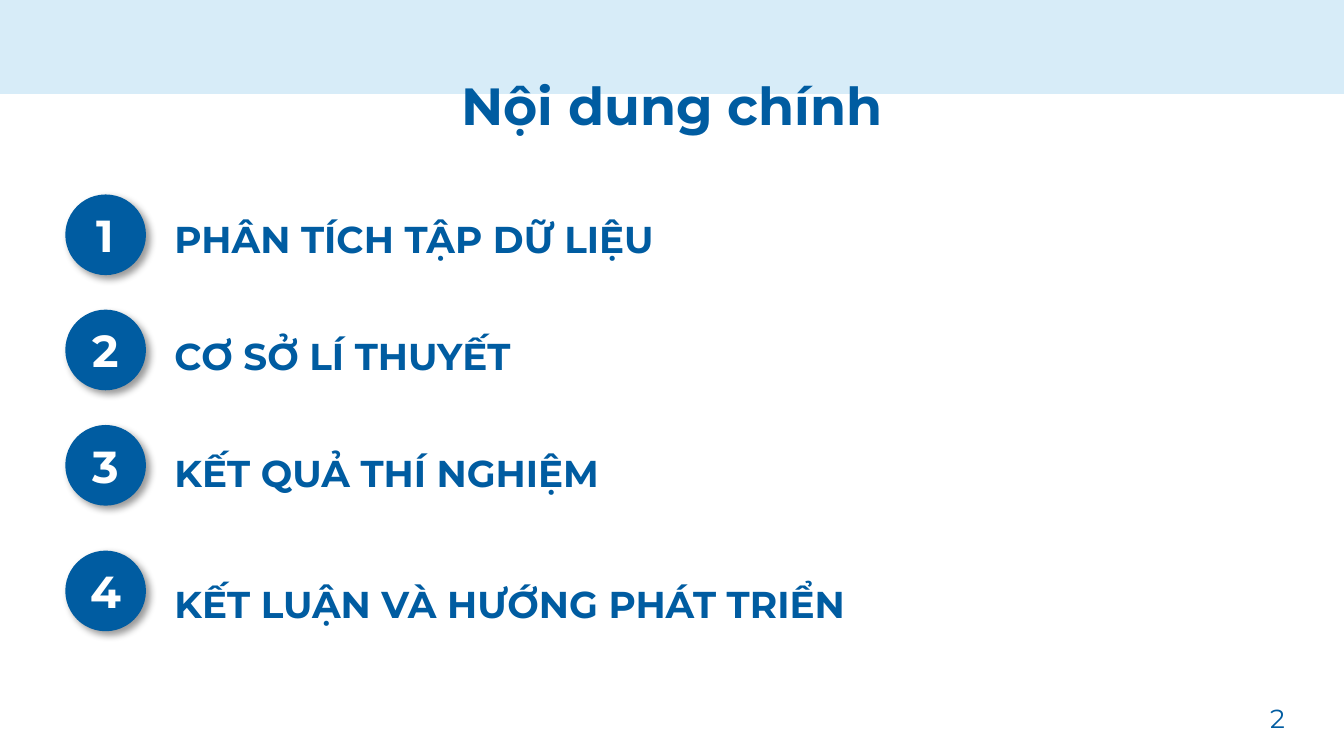
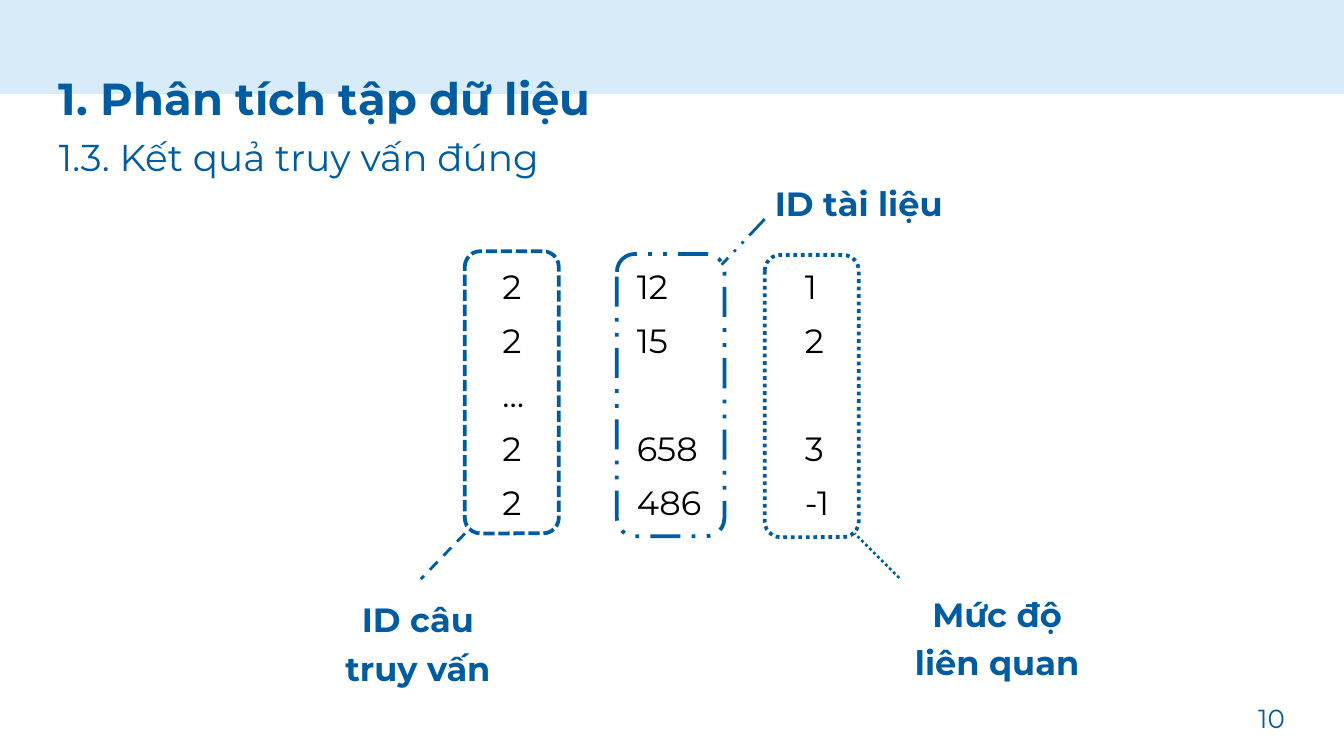
from lxml.etree import SubElement
from pptx import Presentation
from pptx.dml.color import RGBColor
from pptx.enum.dml import MSO_LINE
from pptx.enum.shapes import MSO_CONNECTOR, MSO_SHAPE
from pptx.enum.text import MSO_ANCHOR, MSO_AUTO_SIZE, PP_ALIGN
from pptx.oxml.ns import qn
from pptx.util import Pt

COLORS = {"blue": "005CA1", "band": "D7ECF8", "white": "FFFFFF", "black": "000000"}
FONT = "Montserrat"
WIDTH, HEIGHT = 720, 405


def color(name):
    return RGBColor.from_string(COLORS[name])


class Deck:
    def __init__(self):
        self.presentation = Presentation()
        self.presentation.slide_width = Pt(WIDTH)
        self.presentation.slide_height = Pt(HEIGHT)
        self.slide = None

    def new_slide(self, number):
        """Start a slide with the top band and the page number."""
        self.slide = self.presentation.slides.add_slide(self.presentation.slide_layouts[6])
        self.shape(MSO_SHAPE.RECTANGLE, 0, 0, WIDTH, 50.4, fill="band")
        self.text([str(number)], 652.3, 370.1, 43.2, 31, size=14, bold=False,
                  align=PP_ALIGN.RIGHT, spacing=0.9, inset=7.2, anchor=MSO_ANCHOR.MIDDLE)

    def shape(self, kind, left, top, width, height, fill=None, dash=None):
        shape = self.slide.shapes.add_shape(kind, Pt(left), Pt(top), Pt(width), Pt(height))
        shape.shadow.inherit = False
        if fill:
            shape.fill.solid()
            shape.fill.fore_color.rgb = color(fill)
        else:
            shape.fill.background()
        if dash:
            self.style_line(shape.line, 2, dash)
        else:
            shape.line.fill.background()
        return shape

    def style_line(self, line, weight, dash):
        line.color.rgb = color("blue")
        line.width = Pt(weight)
        line.dash_style = dash

    def format_run(self, run, size, bold, name):
        run.font.name = FONT
        run.font.size = Pt(size)
        run.font.bold = bold
        run.font.color.rgb = color(name)

    def text(self, lines, left, top, width, height, size=20, bold=True, name="blue",
             align=PP_ALIGN.LEFT, spacing=1.2, inset=3.6, anchor=MSO_ANCHOR.TOP,
             grow=False, before=0, tabs=()):
        box = self.slide.shapes.add_textbox(Pt(left), Pt(top), Pt(width), Pt(height))
        frame = box.text_frame
        frame.word_wrap = True
        frame.auto_size = MSO_AUTO_SIZE.SHAPE_TO_FIT_TEXT if grow else MSO_AUTO_SIZE.NONE
        frame.vertical_anchor = anchor
        frame.margin_top = frame.margin_bottom = Pt(inset)
        frame.text = "\n".join(lines)
        for paragraph in frame.paragraphs:
            paragraph.alignment = align
            paragraph.line_spacing = spacing
            paragraph.space_before = Pt(before)
            if tabs:
                self.set_tabs(paragraph, tabs)
            for run in paragraph.runs:
                self.format_run(run, size, bold, name)
        return box

    def set_tabs(self, paragraph, tabs):
        tab_list = SubElement(paragraph._p.get_or_add_pPr(), qn("a:tabLst"))
        for position in tabs:
            SubElement(tab_list, qn("a:tab"), pos=str(Pt(position)), algn="l")

    def title(self, text, size, align=PP_ALIGN.LEFT, subtitle=None):
        content = f"{text}\v{subtitle}" if subtitle else text
        box = self.text([content], 24.5, 25.2, 671, 79.2, size=size, align=align, inset=7.2)
        if subtitle:
            self.format_run(box.text_frame.paragraphs[0].runs[1], 20, False, "blue")

    def badge(self, number, left, top, diameter):
        badge = self.shape(MSO_SHAPE.OVAL, left, top, diameter, diameter, fill="blue")
        effects = badge._element.spPr.find(qn("a:effectLst"))
        shadow = SubElement(effects, qn("a:outerShdw"), blurRad=str(Pt(4)), dist=str(Pt(3)),
                            dir=str(45 * 60000), algn="tl", rotWithShape="0")
        tint = SubElement(shadow, qn("a:srgbClr"), val=COLORS["black"])
        SubElement(tint, qn("a:alpha"), val="40000")
        frame = badge.text_frame
        frame.text = str(number)
        frame.vertical_anchor = MSO_ANCHOR.MIDDLE
        paragraph = frame.paragraphs[0]
        paragraph.alignment = PP_ALIGN.CENTER
        self.format_run(paragraph.runs[0], 24, True, "white")

    def line(self, start, end, dash):
        connector = self.slide.shapes.add_connector(
            MSO_CONNECTOR.STRAIGHT, *(Pt(value) for value in (*start, *end)))
        self.style_line(connector.line, 1.5, dash)
        SubElement(connector._element.spPr, qn("a:effectLst"))


def build_contents(deck):
    deck.new_slide(2)
    deck.title("Nội dung chính", 28, PP_ALIGN.CENTER)
    chapters = [
        ("PHÂN TÍCH TẬP DỮ LIỆU", 104.2, 107.3),
        ("CƠ SỞ LÍ THUYẾT", 165.9, 169.9),
        ("KẾT QUẢ THÍ NGHIỆM", 227.7, 232.6),
        ("KẾT LUẬN VÀ HƯỚNG PHÁT TRIỂN", 295, 303.1),
    ]
    for number, (chapter, badge_top, text_top) in enumerate(chapters, 1):
        deck.text([chapter], 86.4, text_top, 540, 34, grow=True)
        deck.badge(number, 35, badge_top, 43.2)


def build_query_results(deck):
    deck.new_slide(10)
    deck.title("1. Phân tích tập dữ liệu", 24, subtitle="1.3. Kết quả truy vấn đúng")
    rows = ["2\t12\t1", "2\t15\t2", "…", "2\t658\t3", "2\t486\t-1"]
    deck.text(rows, 262.1, 134.6, 194.4, 148.3, size=18, bold=False, name="black",
              grow=True, before=3, tabs=(72, 162))

    query, document, relevance = MSO_LINE.SQUARE_DOT, MSO_LINE.DASH_DOT_DOT, MSO_LINE.ROUND_DOT
    for left, top, width, dash in [(249, 134.6, 50.4, query),
                                   (330.5, 136.1, 57.6, document),
                                   (409.7, 136.6, 50.4, relevance)]:
        deck.shape(MSO_SHAPE.ROUNDED_RECTANGLE, left, top, width, 151.2, dash=dash)

    deck.line((249.1, 285.8), (225.4, 310.3), MSO_LINE.DASH)
    deck.line((409.7, 117.4), (386.6, 141.8), document)
    deck.line((481.7, 309.6), (457.9, 285.8), relevance)

    for lines, left, top, width, height, spacing in [
            (["ID câu", "truy vấn"], 173.5, 313.2, 100.8, 57.6, 1.2),
            (["ID tài liệu"], 406.1, 94.3, 108, 28.8, 1),
            (["Mức độ liên quan"], 480.2, 310.3, 108, 57.6, 1.2)]:
        deck.text(lines, left, top, width, height, size=18, align=PP_ALIGN.CENTER,
                  spacing=spacing, grow=True)


def main():
    deck = Deck()
    build_contents(deck)
    build_query_results(deck)
    deck.presentation.save("out.pptx")


if __name__ == "__main__":
    main()
